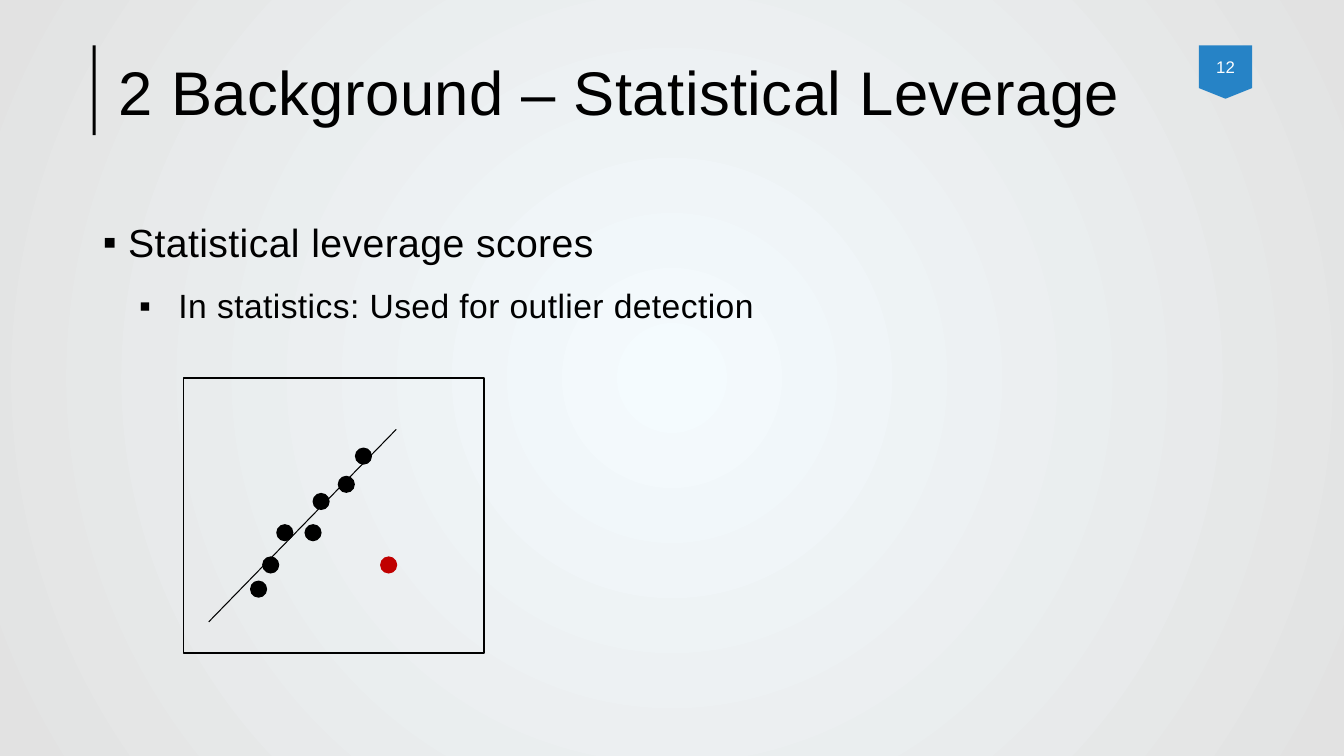
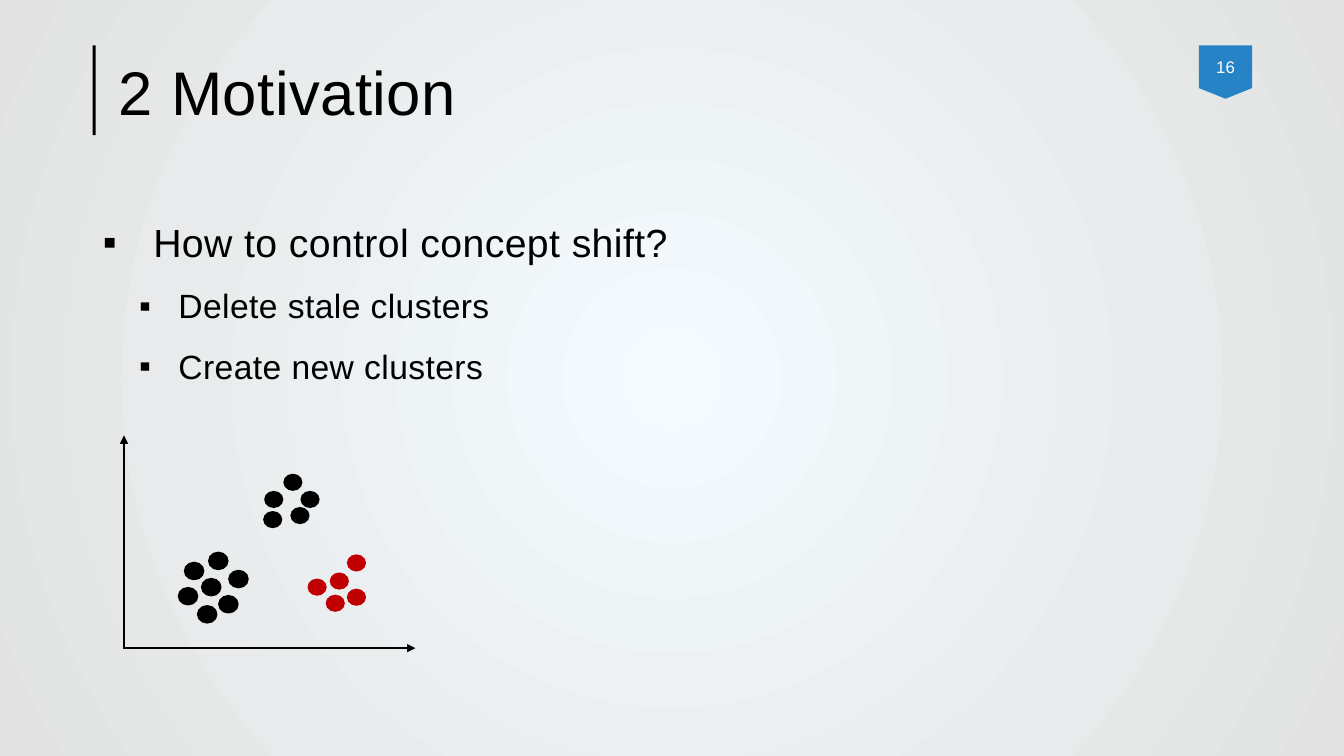
from dataclasses import dataclass
from lxml import etree
from pptx import Presentation
from pptx.dml.color import RGBColor
from pptx.enum import shapes, text
from pptx.oxml import ns
from pptx.util import Inches, Pt

BLACK = RGBColor(0x00, 0x00, 0x00)
WHITE = RGBColor(0xFF, 0xFF, 0xFF)
RED = RGBColor(0xC0, 0x00, 0x00)
BLUE = RGBColor(0x26, 0x83, 0xC6)
GLOW = RGBColor(0xF4, 0xFB, 0xFE)
EDGE = RGBColor(0xE2, 0xE2, 0xE2)
FONT = "Arial"
TITLE_AND_BODY = 1

Point = tuple[float, float]


@dataclass(frozen=True)
class Bullet:
    wording: str
    level: int = 1
    indent: float = 0.75
    hanging: float = 0.39


@dataclass(frozen=True)
class Cluster:
    corners: tuple[Point, ...]
    dot_width: float
    color: RGBColor = BLACK
    outlined: bool = False


@dataclass(frozen=True)
class Stroke:
    start: Point
    end: Point
    weight: float
    arrow: bool = False


@dataclass(frozen=True)
class Topic:
    title: str
    number: str
    bullets: tuple[Bullet, ...]
    clusters: tuple[Cluster, ...]
    strokes: tuple[Stroke, ...]
    frame: tuple[float, float, float, float] | None = None


DOT_HEIGHT = 0.17

TOPICS = (
    Topic(
        "2 Background – Statistical Leverage",
        "12",
        (
            Bullet("Statistical leverage scores", 0, 0.25, 0.25),
            Bullet("In statistics: Used for outlier detection"),
        ),
        (
            Cluster(((2.48, 5.76), (2.6, 5.52), (2.74, 5.2), (3.02, 5.2),
                     (3.1, 4.89), (3.35, 4.72), (3.52, 4.44)), 0.17),
            Cluster(((3.77, 5.52),), 0.17, RED),
        ),
        (Stroke((2.07, 6.17), (3.93, 4.26), 0.75),),
        (1.82, 3.75, 2.98, 2.73),
    ),
    Topic(
        "2 Motivation",
        "16",
        (
            Bullet("How to control concept shift?", 0, 0.5, 0.5),
            Bullet("Delete stale clusters"),
            Bullet("Create new clusters"),
        ),
        (
            Cluster(((1.83, 5.58), (2, 5.74), (2.17, 5.91), (2.27, 5.66),
                     (1.96, 6.01), (1.77, 5.83), (2.07, 5.48)), 0.19, outlined=True),
            Cluster(((2.62, 4.87), (2.88, 5.03), (2.98, 4.87), (2.81, 4.7),
                     (2.61, 5.07)), 0.19),
            Cluster(((3.44, 5.5), (3.27, 5.68), (3.44, 5.84), (3.23, 5.9),
                     (3.05, 5.74)), 0.19, RED),
        ),
        (
            Stroke((1.23, 6.43), (1.23, 4.32), 1.5, True),
            Stroke((1.22, 6.43), (4.12, 6.43), 1.5, True),
        ),
    ),
)


def paint_background(master) -> None:
    fill = master.background.fill
    fill.gradient()
    for stop, color in zip(fill.gradient_stops, (GLOW, EDGE)):
        stop.color.rgb = color
    gradient = master.element.find(".//" + ns.qn("a:gradFill"))
    gradient.remove(gradient.find(ns.qn("a:lin")))
    circle = etree.SubElement(gradient, ns.qn("a:path"), {"path": "circle"})
    center = dict.fromkeys("ltrb", "50000")
    etree.SubElement(circle, ns.qn("a:fillToRect"), center)


def place(shape, left: float, top: float, width: float, height: float) -> None:
    shape.left, shape.top = Inches(left), Inches(top)
    shape.width, shape.height = Inches(width), Inches(height)


def add_run(paragraph, wording: str, size: float, color: RGBColor = BLACK,
            spacing: float = 0):
    run = paragraph.add_run()
    run.text = wording
    run.font.name = FONT
    run.font.size = Pt(size)
    run.font.color.rgb = color
    if spacing:
        run.font._element.set("spc", str(round(spacing * 100)))


def add_plain_shape(slide, preset, box, fill: RGBColor | None,
                    outline: RGBColor | None = None):
    shape = slide.shapes.add_shape(preset, *map(Inches, box))
    shape.shadow.inherit = False
    if fill is None:
        shape.fill.background()
    else:
        shape.fill.solid()
        shape.fill.fore_color.rgb = fill
    if outline is None:
        shape.line.fill.background()
    else:
        shape.line.color.rgb = outline
        shape.line.width = Pt(1)
    return shape


def add_header(slide, topic: Topic) -> None:
    add_plain_shape(slide, shapes.MSO_SHAPE.RECTANGLE, (0.92, 0.45, 0.03, 0.89), BLACK)
    badge = add_plain_shape(slide, shapes.MSO_SHAPE.FLOWCHART_OFFPAGE_CONNECTOR,
                            (11.89, 0.45, 0.53, 0.53), BLUE)
    badge.text_frame.vertical_anchor = text.MSO_ANCHOR.MIDDLE
    number = badge.text_frame.paragraphs[0]
    number.alignment = text.PP_ALIGN.CENTER
    add_run(number, topic.number, 12, WHITE)

    title = slide.shapes.title
    place(title, 1.08, 0.45, 10.81, 1)
    title.text_frame.auto_size = text.MSO_AUTO_SIZE.NONE
    title.text_frame.vertical_anchor = text.MSO_ANCHOR.MIDDLE
    heading = title.text_frame.paragraphs[0]
    heading.alignment = text.PP_ALIGN.LEFT
    heading.line_spacing = 0.9
    add_run(heading, topic.title, 44, spacing=0.3)


def add_bullets(slide, bullets: tuple[Bullet, ...]) -> None:
    body = slide.placeholders[1]
    place(body, 0.92, 2, 11.5, 4.76)
    frame = body.text_frame
    frame.auto_size = text.MSO_AUTO_SIZE.NONE
    for index, bullet in enumerate(bullets):
        paragraph = frame.add_paragraph() if index else frame.paragraphs[0]
        properties = paragraph._p.get_or_add_pPr()
        properties.set("marL", str(Inches(bullet.indent)))
        properties.set("indent", str(-Inches(bullet.hanging)))
        etree.SubElement(properties, ns.qn("a:buChar"), {"char": "▪"})
        paragraph.level = bullet.level
        paragraph.line_spacing = 1.25
        paragraph.space_before = Pt(5 if index else 0)
        paragraph.space_after = Pt(2)
        add_run(paragraph, bullet.wording, 24 if bullet.level else 28, spacing=0.3)


def add_stroke(slide, stroke: Stroke) -> None:
    connector = slide.shapes.add_connector(
        shapes.MSO_CONNECTOR.STRAIGHT, *map(Inches, stroke.start + stroke.end))
    connector.line.color.rgb = BLACK
    connector.line.width = Pt(stroke.weight)
    properties = connector._element.spPr
    if stroke.arrow:
        line = properties.find(ns.qn("a:ln"))
        etree.SubElement(line, ns.qn("a:tailEnd"), {"type": "triangle"})
    etree.SubElement(properties, ns.qn("a:effectLst"))


def add_cluster(slide, cluster: Cluster) -> None:
    outline = cluster.color if cluster.outlined else None
    for left, top in cluster.corners:
        add_plain_shape(slide, shapes.MSO_SHAPE.OVAL,
                        (left, top, cluster.dot_width, DOT_HEIGHT),
                        cluster.color, outline)


def add_topic(deck, topic: Topic) -> None:
    slide = deck.slides.add_slide(deck.slide_layouts[TITLE_AND_BODY])
    add_header(slide, topic)
    add_bullets(slide, topic.bullets)
    if topic.frame:
        add_plain_shape(slide, shapes.MSO_SHAPE.RECTANGLE, topic.frame, None, BLACK)
    for stroke in topic.strokes:
        add_stroke(slide, stroke)
    for cluster in topic.clusters:
        add_cluster(slide, cluster)


def main() -> None:
    deck = Presentation()
    deck.slide_width, deck.slide_height = Inches(13.33), Inches(7.5)
    paint_background(deck.slide_master)
    for topic in TOPICS:
        add_topic(deck, topic)
    deck.save("out.pptx")


if __name__ == "__main__":
    main()
